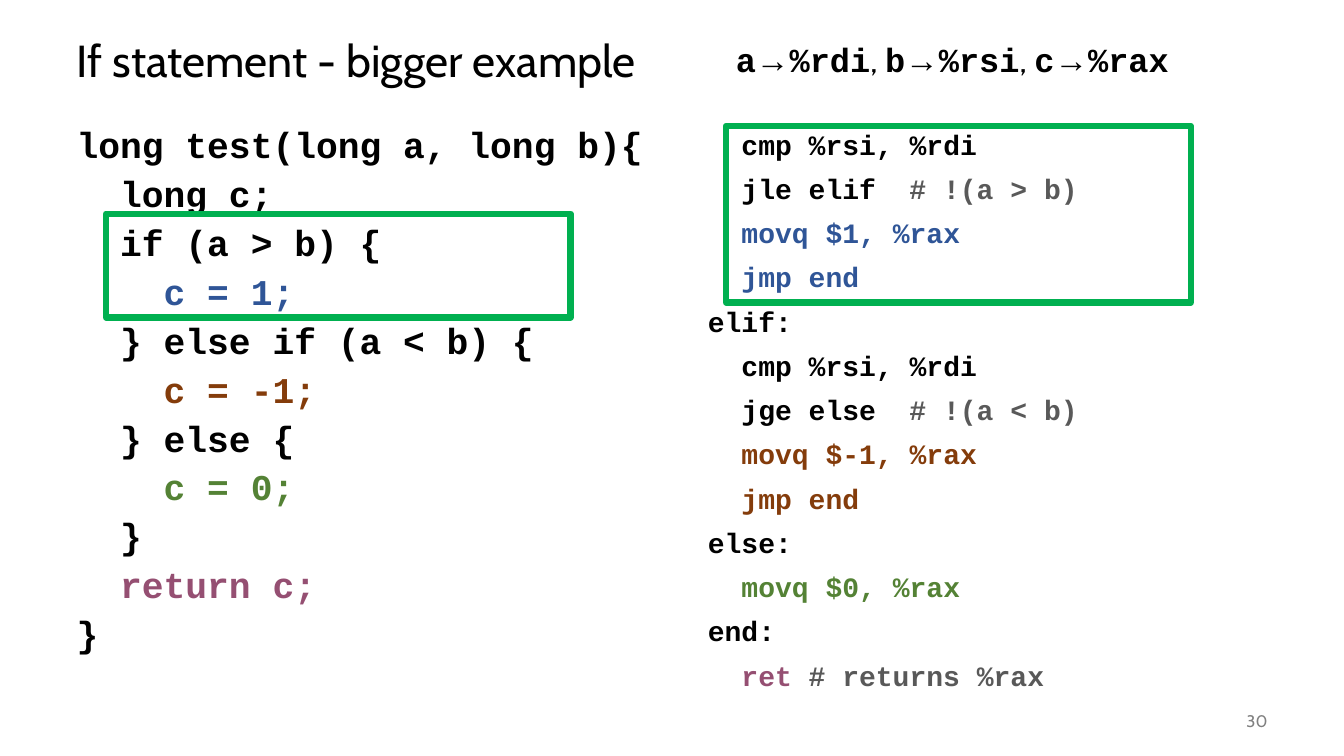
import pptx
import pptx.dml.color
import pptx.enum.shapes
import pptx.enum.text
import pptx.oxml
import pptx.oxml.ns
import pptx.util
from pptx.util import Inches

BLACK, GREY, FRAME_GREEN = "000000", "595959", "00B050"
BLUE, BROWN, GREEN, PURPLE = "2F5597", "843C0B", "548235", "954F72"
CODE_FONT, TEXT_FONT = "Courier New", "Cabin"

# Each line is a list of (text, colour) spans.
C_CODE = [
    [("long test(long a, long b){", BLACK)],
    [("  long c;", BLACK)],
    [("  if (a > b) {", BLACK)],
    [("    c = 1;", BLUE)],
    [("  } else if (a < b) {", BLACK)],
    [("    c = -1;", BROWN)],
    [("  } else {", BLACK)],
    [("    c = 0;", GREEN)],
    [("  }", BLACK)],
    [("  return c;", PURPLE)],
    [("}", BLACK)],
]
ASSEMBLY = [
    [("  cmp %rsi, %rdi", BLACK)],
    [("  jle elif\t", BLACK), ("# !(a > b)", GREY)],
    [("  movq $1, %rax", BLUE)],
    [("  jmp end", BLUE)],
    [("elif:", BLACK)],
    [("  cmp %rsi, %rdi", BLACK)],
    [("  jge else\t", BLACK), ("# !(a < b)", GREY)],
    [("  movq $-1, %rax", BROWN)],
    [("  jmp end", BROWN)],
    [("else:", BLACK)],
    [("  movq $0, %rax", GREEN)],
    [("end:", BLACK)],
    [("  ret\t", PURPLE), ("# returns %rax", GREY)],
]
REGISTERS = [("a", "%rdi"), ("b", "%rsi"), ("c", "%rax")]


def rgb(colour):
    return pptx.dml.color.RGBColor.from_string(colour)


def style(font, name=None, size=None, colour=None, bold=None):
    """Set only the font properties that are given."""
    if name:
        font.name = name
    if size:
        font.size = pptx.util.Pt(size)
    if colour:
        font.color.rgb = rgb(colour)
    if bold is not None:
        font.bold = bold


def place(shape, left, top, width, height):
    shape.left, shape.top = Inches(left), Inches(top)
    shape.width, shape.height = Inches(width), Inches(height)


def add_child(parent, tag, **attributes):
    child = pptx.oxml.parse_xml(f"<a:{tag} {pptx.oxml.ns.nsdecls('a')}/>")
    for name, value in attributes.items():
        child.set(name, str(value))
    parent.append(child)
    return child


def fill_title(title, text):
    place(title, 0.66, 0.25, 12, 0.75)
    frame = title.text_frame
    frame.text = text
    frame.auto_size = pptx.enum.text.MSO_AUTO_SIZE.NONE
    frame.vertical_anchor = pptx.enum.text.MSO_ANCHOR.MIDDLE
    para = frame.paragraphs[0]
    para.alignment = pptx.enum.text.PP_ALIGN.LEFT
    para.line_spacing = 0.9
    style(para.font, TEXT_FONT, 32, BLACK)


def fill_code(body, lines, size, line_spacing, comment_tab=None):
    """Fill a body placeholder with unbulleted code, comments at one tab stop."""
    frame = body.text_frame
    frame.word_wrap = True
    frame.auto_size = pptx.enum.text.MSO_AUTO_SIZE.NONE
    for number, line in enumerate(lines):
        para = frame.add_paragraph() if number else frame.paragraphs[0]
        properties = para._p.get_or_add_pPr()
        properties.set("marL", "0")
        properties.set("indent", "0")
        add_child(properties, "buNone")
        if comment_tab and len(line) > 1:
            stops = add_child(properties, "tabLst")
            add_child(stops, "tab", pos=Inches(comment_tab), algn="l")
        para.line_spacing = line_spacing
        para.space_before = pptx.util.Pt(10 if number else 0)
        style(para.font, CODE_FONT, size, bold=True)
        for text, colour in line:
            span = para.add_run()
            span.text = text
            style(span.font, colour=colour)


def add_text_box(page, left, top, width, height):
    box = page.shapes.add_textbox(*map(Inches, (left, top, width, height)))
    box.text_frame.word_wrap = True
    return box.text_frame


def add_register_key(page):
    frame = add_text_box(page, 7.2, 0.34, 5.2, 0.5)
    frame.auto_size = pptx.enum.text.MSO_AUTO_SIZE.SHAPE_TO_FIT_TEXT
    para = frame.paragraphs[0]
    style(para.font, size=24, colour=BLACK)
    for number, (variable, register) in enumerate(REGISTERS):
        spans = [(variable, CODE_FONT, True), ("→", "Arial", True),
                 (register, CODE_FONT, True)]
        if number:
            spans.insert(0, (", ", TEXT_FONT, False))
        for text, name, bold in spans:
            span = para.add_run()
            span.text = text
            style(span.font, name, bold=bold)


def add_page_number(page, number):
    frame = add_text_box(page, 11.67, 6.95, 1, 0.4)
    frame.vertical_anchor = pptx.enum.text.MSO_ANCHOR.MIDDLE
    para = frame.paragraphs[0]
    para.text = str(number)
    para.alignment = pptx.enum.text.PP_ALIGN.RIGHT
    style(para.font, TEXT_FONT, 12, "808080")


def add_frame(page, left, top, width, height):
    """Outline the lines of code that belong together."""
    frame = page.shapes.add_shape(pptx.enum.shapes.MSO_SHAPE.RECTANGLE,
                                  *map(Inches, (left, top, width, height)))
    frame.shadow.inherit = False
    frame.fill.background()
    frame.line.color.rgb = rgb(FRAME_GREEN)
    frame.line.width = pptx.util.Pt(4.5)


def main():
    deck = pptx.Presentation()
    deck.slide_width, deck.slide_height = Inches(13.33), Inches(7.5)
    page = deck.slides.add_slide(deck.slide_layouts.get_by_name("Two Content"))
    title, c_body, assembly_body = page.placeholders

    fill_title(title, "If statement - bigger example")
    place(c_body, 0.66, 1.25, 5.86, 5.5)
    fill_code(c_body, C_CODE, 25.9, 0.8)
    place(assembly_body, 6.92, 1.25, 5.75, 5.91)
    fill_code(assembly_body, ASSEMBLY, 20, 0.9, comment_tab=3)
    add_page_number(page, 30)
    add_register_key(page)
    add_frame(page, 7.2, 1.25, 4.61, 1.75)
    add_frame(page, 1.05, 2.12, 4.61, 1.03)
    deck.save("out.pptx")


if __name__ == "__main__":
    main()
